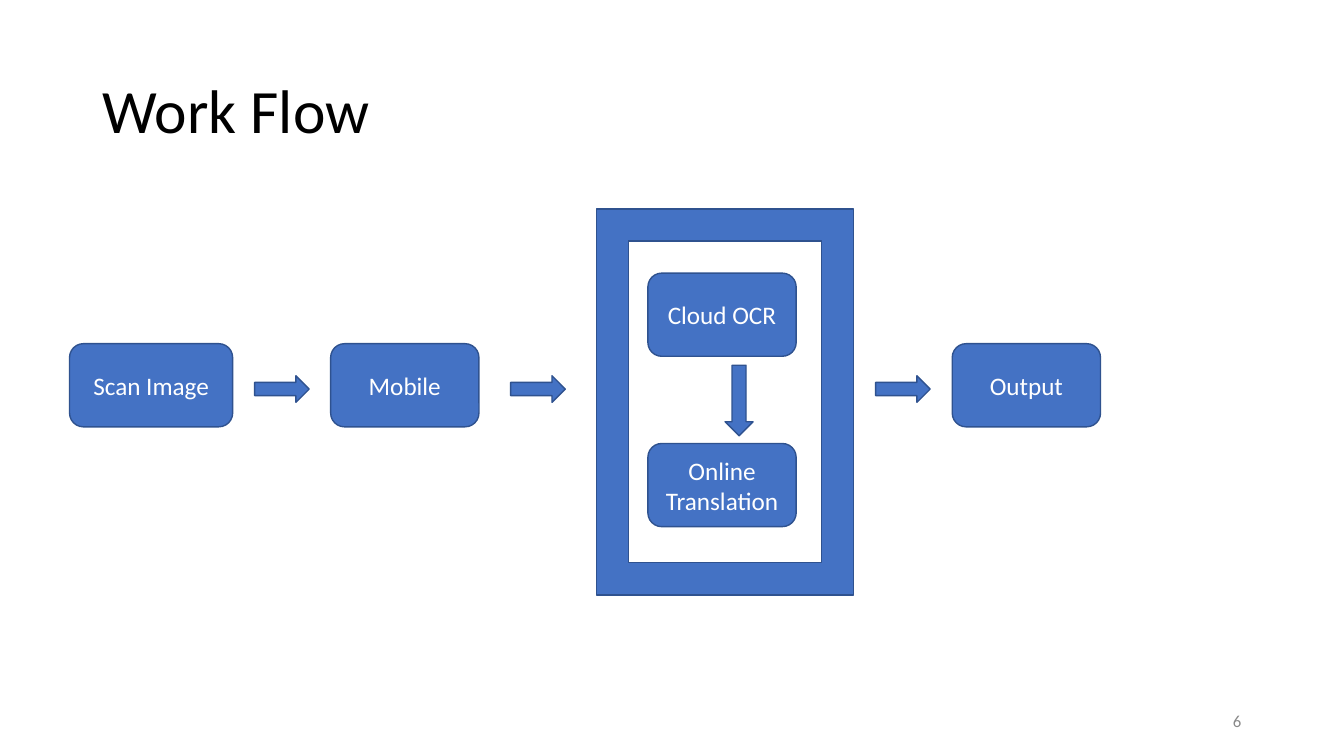
from dataclasses import dataclass

from pptx import Presentation
from pptx.dml.color import RGBColor
from pptx.enum.shapes import MSO_SHAPE
from pptx.enum.text import MSO_ANCHOR, MSO_AUTO_SIZE, PP_ALIGN
from pptx.util import Pt

ROUNDED = MSO_SHAPE.ROUNDED_RECTANGLE
FRAME = MSO_SHAPE.FRAME
RIGHT_ARROW = MSO_SHAPE.RIGHT_ARROW
DOWN_ARROW = MSO_SHAPE.DOWN_ARROW
LEFT, CENTER, RIGHT = PP_ALIGN.LEFT, PP_ALIGN.CENTER, PP_ALIGN.RIGHT
MIDDLE = MSO_ANCHOR.MIDDLE
NO_AUTOFIT = MSO_AUTO_SIZE.NONE
TITLE_ONLY = 5


@dataclass(frozen=True)
class Theme:
    font: str = "Calibri"
    title: str = "000000"
    label: str = "FFFFFF"
    muted: str = "898989"
    fill: str = "4472C4"
    line: str = "2F528F"
    title_size: float = 44
    label_size: float = 18
    number_size: float = 12


def write(tf, text, *, font, size, color, align=LEFT, spacing=1.0):
    tf.word_wrap = True
    tf.auto_size = NO_AUTOFIT
    tf.vertical_anchor = MIDDLE
    p = tf.paragraphs[0]
    p.alignment = align
    p.line_spacing = spacing
    r = p.add_run()
    r.text = text
    r.font.name = font
    r.font.size = Pt(size)
    r.font.color.rgb = RGBColor.from_string(color)


class FlowSlide:
    def __init__(self, prs, theme):
        self.theme = theme
        self.s = prs.slides.add_slide(prs.slide_layouts[TITLE_ONLY])

    def title(self, text, x, y, w, h):
        sp = self.s.shapes.title
        sp.left, sp.top, sp.width, sp.height = Pt(x), Pt(y), Pt(w), Pt(h)
        write(sp.text_frame, text, font=self.theme.font, size=self.theme.title_size,
              color=self.theme.title, spacing=0.9)

    def number(self, text, x, y, w, h):
        sp = self.s.shapes.add_textbox(Pt(x), Pt(y), Pt(w), Pt(h))
        write(sp.text_frame, text, font=self.theme.font, size=self.theme.number_size,
              color=self.theme.muted, align=RIGHT)

    def shape(self, kind, x, y, w, h):
        sp = self.s.shapes.add_shape(kind, Pt(x), Pt(y), Pt(w), Pt(h))
        sp.shadow.inherit = False
        sp.fill.solid()
        sp.fill.fore_color.rgb = RGBColor.from_string(self.theme.fill)
        sp.line.color.rgb = RGBColor.from_string(self.theme.line)
        sp.line.width = Pt(1)
        return sp

    def step(self, text, x, y, w=106, h=59.4):
        sp = self.shape(ROUNDED, x, y, w, h)
        write(sp.text_frame, text, font=self.theme.font, size=self.theme.label_size,
              color=self.theme.label, align=CENTER)


def main():
    prs = Presentation()
    prs.slide_width, prs.slide_height = Pt(960.48), Pt(540)
    flow = FlowSlide(prs, Theme())

    # Title and slide number
    flow.title("Work Flow", 66.24, 28.8, 828, 104.4)
    flow.number("6", 678.24, 500.4, 216, 28.8)

    # Steps along the main row
    row_y = 245.5
    flow.step("Scan Image", 49.7, row_y, w=116.6)
    flow.step("Mobile", 236.3, row_y)
    flow.step("Output", 680.5, row_y)

    # Cloud services inside the frame
    service_x = 463
    flow.step("Cloud OCR", service_x, 195.1)
    flow.step("Online Translation", service_x, 316.8)
    flow.shape(FRAME, 426.3, 149.2, 183.8, 275.8)

    # Arrows between steps
    for x in (182, 365, 625.8):
        flow.shape(RIGHT_ARROW, x, 268.4, 39, 19)
    flow.shape(DOWN_ARROW, 518.2, 260.9, 20, 50.4)

    prs.save("out.pptx")


if __name__ == "__main__":
    main()
